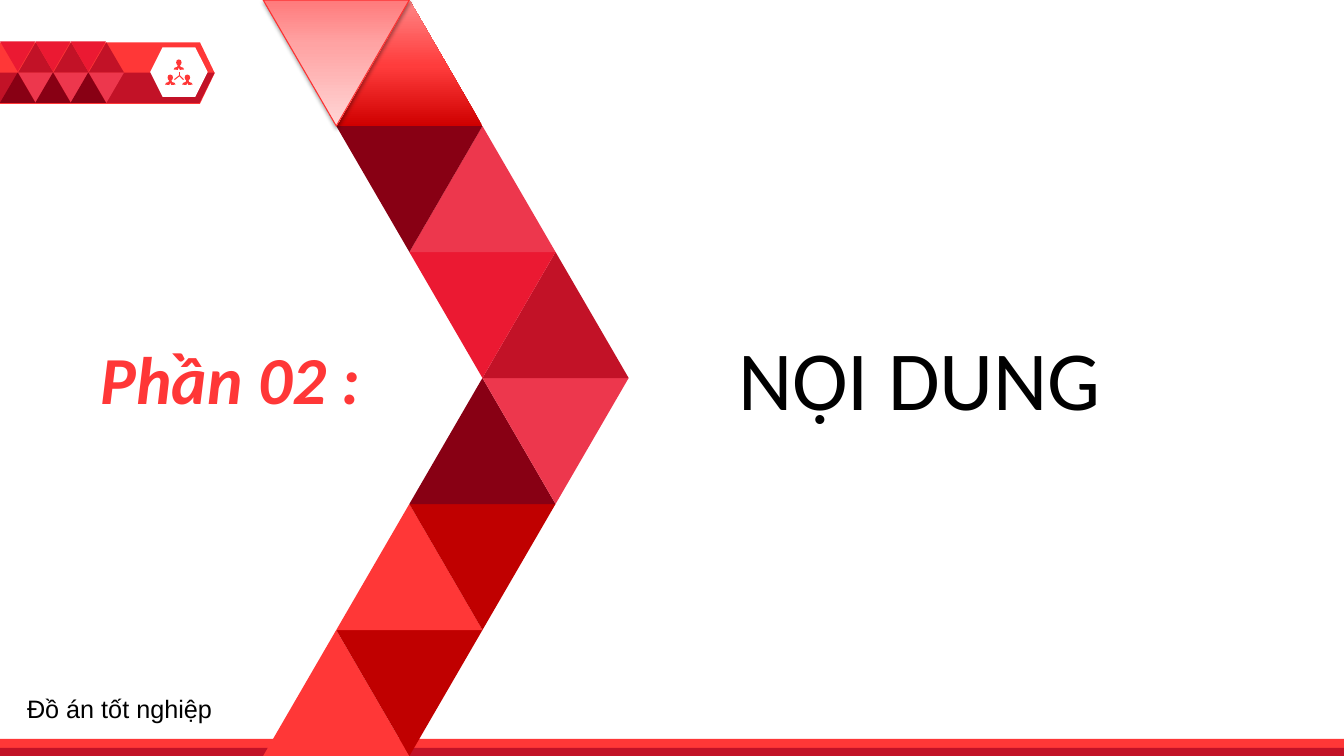
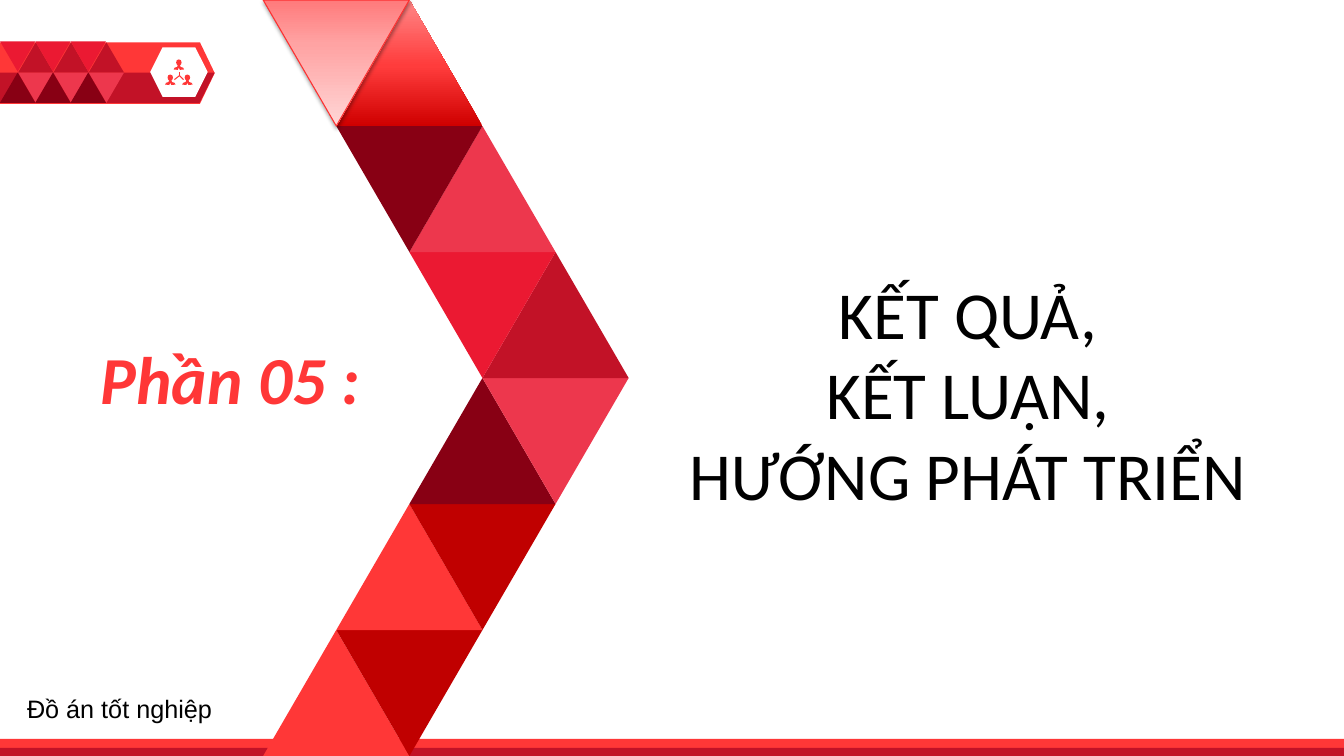
from pptx import Presentation
from pptx.dml.color import RGBColor
from pptx.enum.shapes import MSO_CONNECTOR, MSO_SHAPE
from pptx.enum.text import MSO_ANCHOR, MSO_AUTO_SIZE, PP_ALIGN
from pptx.oxml import parse_xml
from pptx.oxml.ns import nsdecls, qn
from pptx.util import Inches, Pt

RED, DARK_RED, CRIMSON = "FF3737", "C00000", "C21227"
SCARLET, ROSE, MAROON = "EB1932", "ED374D", "880014"
WHITE, BLACK = "FFFFFF", "000000"


def paint(fill, color):
    """Make a shape, line or font fill solid."""
    fill.solid()
    fill.fore_color.rgb = RGBColor.from_string(color)


def write(box, lines, font_name, size, color, bold=False, italic=False, align=PP_ALIGN.LEFT):
    frame = box.text_frame
    frame.word_wrap = True
    frame.auto_size = MSO_AUTO_SIZE.NONE
    frame.vertical_anchor = MSO_ANCHOR.TOP
    for index, line in enumerate(lines):
        para = frame.add_paragraph() if index else frame.paragraphs[0]
        para.alignment = align
        para.space_before = Pt(0)
        span = para.add_run()
        span.text = line
        span.font.name = font_name
        span.font.size = Pt(size)
        span.font.bold = bold
        span.font.italic = italic
        paint(span.font.fill, color)


deck = Presentation()
deck.slide_width, deck.slide_height = Inches(13.33), Inches(7.5)
layout = deck.slide_layouts.get_by_name("Section Header")

# Shared decoration: drawn on the first page, then moved to the layout
first_page = deck.slides.add_slide(layout)
shapes = first_page.shapes

# Header tag and footer bands
preset_parts = [
    (MSO_SHAPE.PENTAGON, 0, 0.42, 2.13, 0.61, RED),
    (MSO_SHAPE.RECTANGLE, 0, 7.33, 13.33, 0.16, RED),
    (MSO_SHAPE.RECTANGLE, 0, 7.42, 13.33, 0.08, CRIMSON),
]
for kind, left, top, width, height, color in preset_parts:
    part = shapes.add_shape(kind, Inches(left), Inches(top), Inches(width), Inches(height))
    paint(part.fill, color)
    if kind == MSO_SHAPE.PENTAGON:
        part.adjustments[0] = 0.24

builder = shapes.build_freeform(0, 72, scale=Inches(0.01))
builder.add_line_segments([(213, 72), (198, 102), (0, 102)], close=True)
paint(builder.convert_to_shape().fill, CRIMSON)

# Triangles: left, top, width, height, points down, colour
triangles = []
for column in range(3):
    left = 0.35 * column
    triangles += [
        (left, 0.41, 0.35, 0.3, True, SCARLET),
        (left + 0.18, 0.42, 0.35, 0.3, False, CRIMSON),
        (left + 0.18, 0.72, 0.35, 0.3, True, ROSE),
        (left, 0.72, 0.35, 0.3, False, MAROON),
    ]

# Chevron rows: half-width steps and colours of the upward and downward triangles
chevron_rows = [
    (1, RED, 0, ROSE),
    (2, ROSE, 1, MAROON),
    (3, CRIMSON, 2, SCARLET),
    (2, MAROON, 3, ROSE),
    (1, RED, 2, DARK_RED),
    (0, RED, 1, DARK_RED),
]
side, row_height = 1.45, 1.25
for row, (up_step, up_color, down_step, down_color) in reversed(list(enumerate(chevron_rows))):
    for step, down, color in [(up_step, False, up_color), (down_step, True, down_color)]:
        triangles.append((2.61 + side / 2 * step, row_height * row, side, row_height, down, color))

for left, top, width, height, down, color in triangles:
    triangle = shapes.add_shape(MSO_SHAPE.ISOSCELES_TRIANGLE, Inches(left), Inches(top),
                                Inches(width), Inches(height))
    triangle.rotation = 180 if down else 0
    paint(triangle.fill, color)
top_up, top_down = list(shapes)[-2:]

# Icon: three linked people on a white hexagon
hexagon = shapes.add_shape(MSO_SHAPE.HEXAGON, Inches(1.49), Inches(0.47), Inches(0.57), Inches(0.49))
paint(hexagon.fill, WHITE)
half_person = [(0, 0), (20, 8), (27, 30), (22, 48), (11, 60), (18, 75), (42, 82), (52, 100), (10, 104), (0, 82)]
person = half_person + [(-x, y) for x, y in reversed(half_person[1:-1])]
for center, top in [(1775, 590), (1690, 740), (1860, 740)]:
    outline = [(center + x, top + y) for x, y in person]
    builder = shapes.build_freeform(*outline[0], scale=Inches(0.001))
    builder.add_line_segments(outline[1:], close=True)
    paint(builder.convert_to_shape().fill, RED)

for shape in shapes:
    if not shape.is_placeholder:
        shape.shadow.inherit = False
        shape.line.fill.background()

for end_x, end_y in [(1.78, 0.71), (1.73, 0.79), (1.82, 0.79)]:
    link = shapes.add_connector(MSO_CONNECTOR.STRAIGHT, Inches(1.78), Inches(0.75),
                                Inches(end_x), Inches(end_y))
    link.line.width = Pt(0.75)
    paint(link.line.fill, RED)
    link._element.spPr.append(parse_xml(f"<a:effectLst {nsdecls('a')}/>"))

# Gradients of the two topmost triangles
gradients = [
    (top_up, [(0, "CF0000"), (48, "FF3C3C"), (100, "FF8787")]),
    (top_down, [(0, "FF7A7B"), (35, "FFA3A3"), (100, "FFD6D6")]),
]
for triangle, stops in gradients:
    stop_xml = "".join(f'<a:gs pos="{position * 1000}"><a:srgbClr val="{color}"/></a:gs>'
                       for position, color in stops)
    properties = triangle._element.spPr
    properties.replace(properties.find(qn("a:solidFill")), parse_xml(
        f'<a:gradFill {nsdecls("a")} rotWithShape="1"><a:gsLst>{stop_xml}</a:gsLst>'
        '<a:lin ang="16200000" scaled="0"/></a:gradFill>'))
paint(top_down.line.fill, "FD3030")
top_down.line.width = Pt(0.75)
top_down._element.spPr.find(qn("a:effectLst")).append(parse_xml(
    f'<a:outerShdw {nsdecls("a")} blurRad="{Pt(3.1)}" dist="{Pt(1.6)}" dir="5400000" rotWithShape="0">'
    f'<a:srgbClr val="{BLACK}"><a:alpha val="37000"/></a:srgbClr></a:outerShdw>'))

footer = shapes.add_textbox(Inches(0.17), Inches(6.83), Inches(2.83), Inches(0.4))
write(footer, ["Đồ án tốt nghiệp"], "Arial", 18, BLACK)

for shape in list(shapes):
    if not shape.is_placeholder:
        layout.shapes._spTree.append(shape._element)

# Section pages
sections = [
    ("Phần 02 :", ["NỘI DUNG"], 60, (6.42, 3.19, 5.4, 1.11)),
    ("Phần 05 :", ["KẾT QUẢ,", "KẾT LUẬN,", "HƯỚNG PHÁT TRIỂN"], 48, (6.1, 2.65, 7, 2.52)),
]
for index, (label, title_lines, title_size, title_place) in enumerate(sections):
    page = deck.slides.add_slide(layout) if index else first_page
    title, part_label = page.shapes.title, page.placeholders[1]
    for box, place in [(title, title_place), (part_label, (0.9, 3.3, 4.12, 0.9))]:
        box.left, box.top, box.width, box.height = [Inches(length) for length in place]
    write(title, title_lines, "Calibri", title_size, BLACK, align=PP_ALIGN.CENTER)
    write(part_label, [label], "Calibri", 48, RED, bold=True, italic=True)

deck.save("out.pptx")
